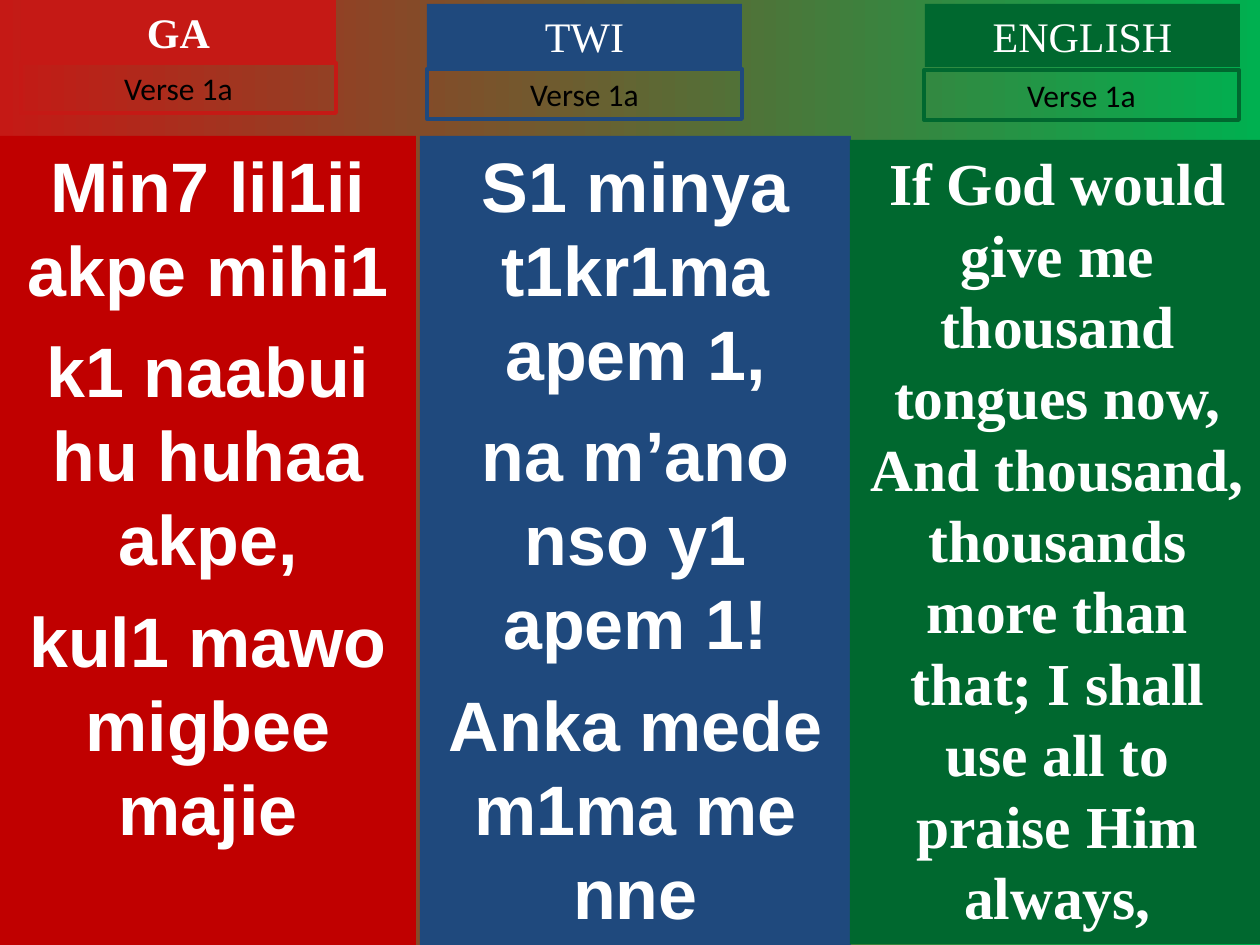
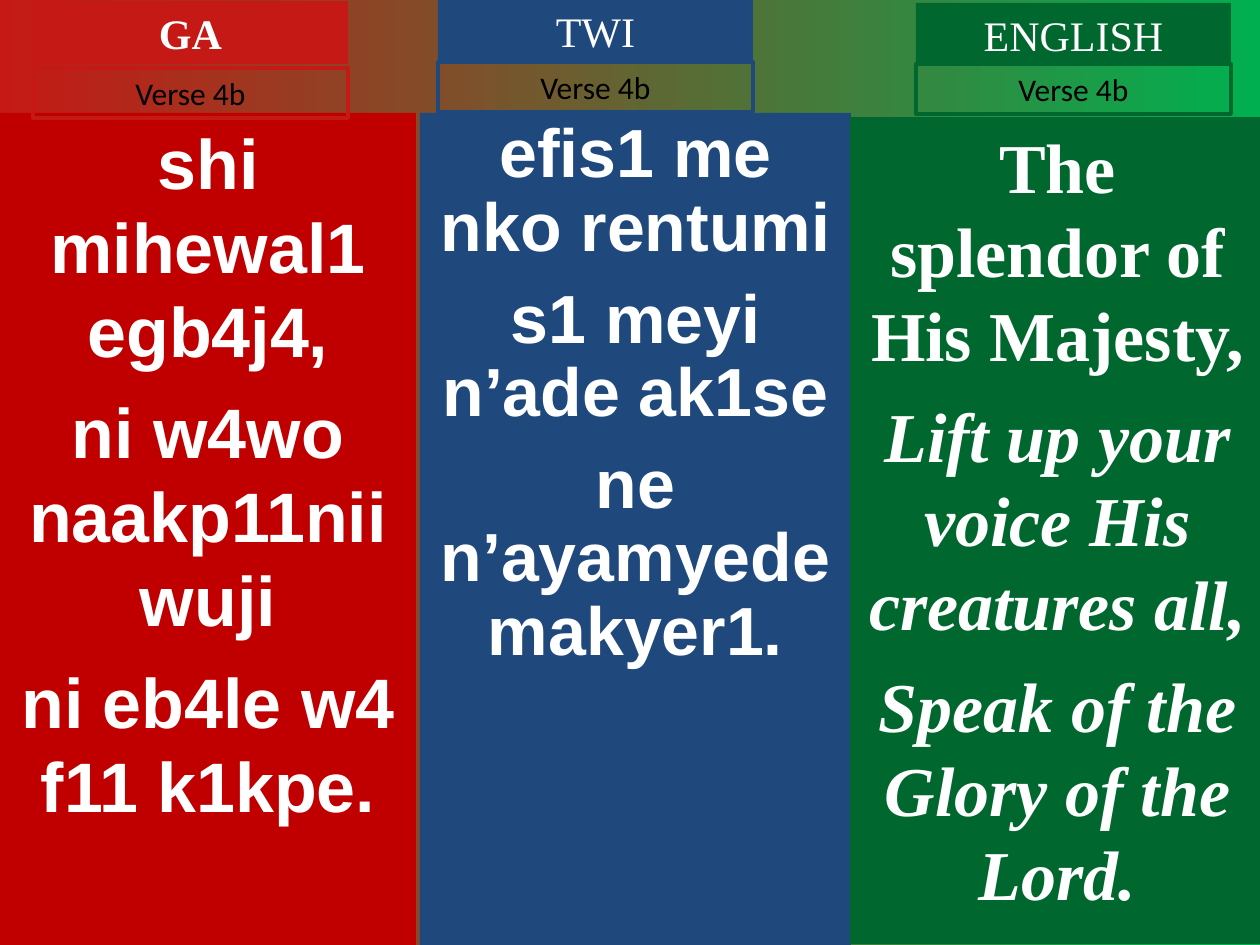
from dataclasses import dataclass

from pptx import Presentation
from pptx.dml.color import RGBColor
from pptx.enum.shapes import MSO_SHAPE as SHAPE
from pptx.enum.text import MSO_ANCHOR as ANCHOR, PP_ALIGN as ALIGN
from pptx.util import Emu, Pt

EMU_PER_PX = 914400 / 126
SLIDE_W, SLIDE_H = 1260, 945
TITLE_W, TITLE_H, LABEL_H = 315, 63, 50

WHITE = RGBColor(0xFF, 0xFF, 0xFF)
BLACK = RGBColor(0x00, 0x00, 0x00)
BRIGHT_RED = RGBColor(0xC5, 0x19, 0x15)
RED = RGBColor(0xC0, 0x00, 0x00)
BLUE = RGBColor(0x1F, 0x49, 0x7D)
GREEN = RGBColor(0x00, 0x68, 0x2F)
BRIGHT_GREEN = RGBColor(0x00, 0xB0, 0x50)

SANS, SERIF, LABEL_FONT = "Arial", "Times New Roman", "Calibri"


@dataclass
class Language:
    name: str
    left: int
    width: int
    panel_color: RGBColor
    title_color: RGBColor
    font: str
    bold_title: bool = False
    drop: int = 0  # gap above and below the panel: starts lower, ends 1 px early


@dataclass
class Lyrics:
    lines: list
    title_at: tuple
    label_at: tuple
    size: float = 40
    before: float = 10
    spacing: float = None
    italic_from: int = 99


LANGUAGES = [
    Language("GA", 0, 416, RED, BRIGHT_RED, SANS, bold_title=True),
    Language("TWI", 420, 431, BLUE, BLUE, SANS),
    Language("ENGLISH", 850, 415, GREEN, GREEN, SERIF, drop=4),
]

VERSES = [
    ("Verse 1a", 136, [
        Lyrics(["Min7 lil1ii akpe mihi1", "k1 naabui hu huhaa akpe,",
                "kul1 mawo migbee majie"], (21, 0), (21, 63)),
        Lyrics(["S1 minya t1kr1ma apem 1,", "na m’ano nso y1 apem 1!",
                "Anka mede m1ma me nne"], (427, 4), (427, 69)),
        Lyrics(["If God would give me thousand tongues now, And thousand, "
                "thousands more than that; I shall use all to praise Him always,"],
               (925, 4), (924, 70), size=34),
    ]),
    ("Verse 4b", 113, [
        Lyrics(["shi mihewal1 egb4j4,", "ni w4wo naakp11nii wuji",
                "ni eb4le w4 f11 k1kpe."], (33, 1), (33, 68)),
        Lyrics(["efis1 me nko rentumi", "s1 meyi n’ade ak1se",
                "ne n’ayamyede makyer1."], (438, -1), (438, 62),
               size=38.9, before=10.5, spacing=0.9),
        Lyrics(["The splendor of His Majesty,", "Lift up your voice His creatures all,",
                "Speak of the Glory of the Lord."], (916, 3), (916, 64), italic_from=1),
    ]),
]


def px(n):
    return Emu(round(n * EMU_PER_PX))


def add_box(slide, box, lines, font, size, color, bold=False, fill=None, line=None):
    """Add a rectangle with centred paragraphs and return the paragraphs."""
    sp = slide.shapes.add_shape(SHAPE.RECTANGLE, *map(px, box))
    sp.shadow.inherit = False
    if fill is None:
        sp.fill.background()
    else:
        sp.fill.solid()
        sp.fill.fore_color.rgb = fill
    if line is None:
        sp.line.fill.background()
    else:
        sp.line.color.rgb = line
        sp.line.width = Pt(2.25)
    tf = sp.text_frame
    tf.word_wrap = True
    tf.vertical_anchor = ANCHOR.TOP
    for i, text in enumerate(lines):
        p = tf.add_paragraph() if i else tf.paragraphs[0]
        p.text = text
        p.alignment = ALIGN.CENTER
        p.font.name, p.font.size, p.font.bold = font, Pt(size), bold
        p.font.color.rgb = color
    return tf.paragraphs


def add_panel(slide, lang, lyrics, top):
    top += lang.drop
    bottom = SLIDE_H - (1 if lang.drop else 0)
    box = (lang.left, top, lang.width, bottom - top)
    paragraphs = add_box(slide, box, lyrics.lines, lang.font, lyrics.size, WHITE,
                         bold=True, fill=lang.panel_color)
    for i, p in enumerate(paragraphs):
        p.space_before = Pt(lyrics.before if i else 0)
        p.line_spacing = lyrics.spacing
        p.font.italic = i >= lyrics.italic_from


def add_header(slide, lang, lyrics, verse):
    add_box(slide, (*lyrics.title_at, TITLE_W, TITLE_H), [lang.name], SERIF, 24, WHITE,
            bold=lang.bold_title, fill=lang.title_color)
    add_box(slide, (*lyrics.label_at, TITLE_W, LABEL_H), [verse], LABEL_FONT, 18, BLACK,
            line=lang.title_color)


def set_background(slide):
    fill = slide.background.fill
    fill.gradient()
    fill.gradient_angle = 0
    for stop, color in zip(fill.gradient_stops, (BRIGHT_RED, BRIGHT_GREEN)):
        stop.color.rgb = color


def add_verse_slide(prs, verse, top, columns):
    slide = prs.slides.add_slide(prs.slide_layouts[6])
    set_background(slide)
    for lang, lyrics in zip(LANGUAGES, columns):
        add_panel(slide, lang, lyrics, top)
    for lang, lyrics in zip(LANGUAGES, columns):
        add_header(slide, lang, lyrics, verse)


def main():
    prs = Presentation()
    prs.slide_width, prs.slide_height = px(SLIDE_W), px(SLIDE_H)
    for verse, top, columns in VERSES:
        add_verse_slide(prs, verse, top, columns)
    prs.save("out.pptx")


if __name__ == "__main__":
    main()
